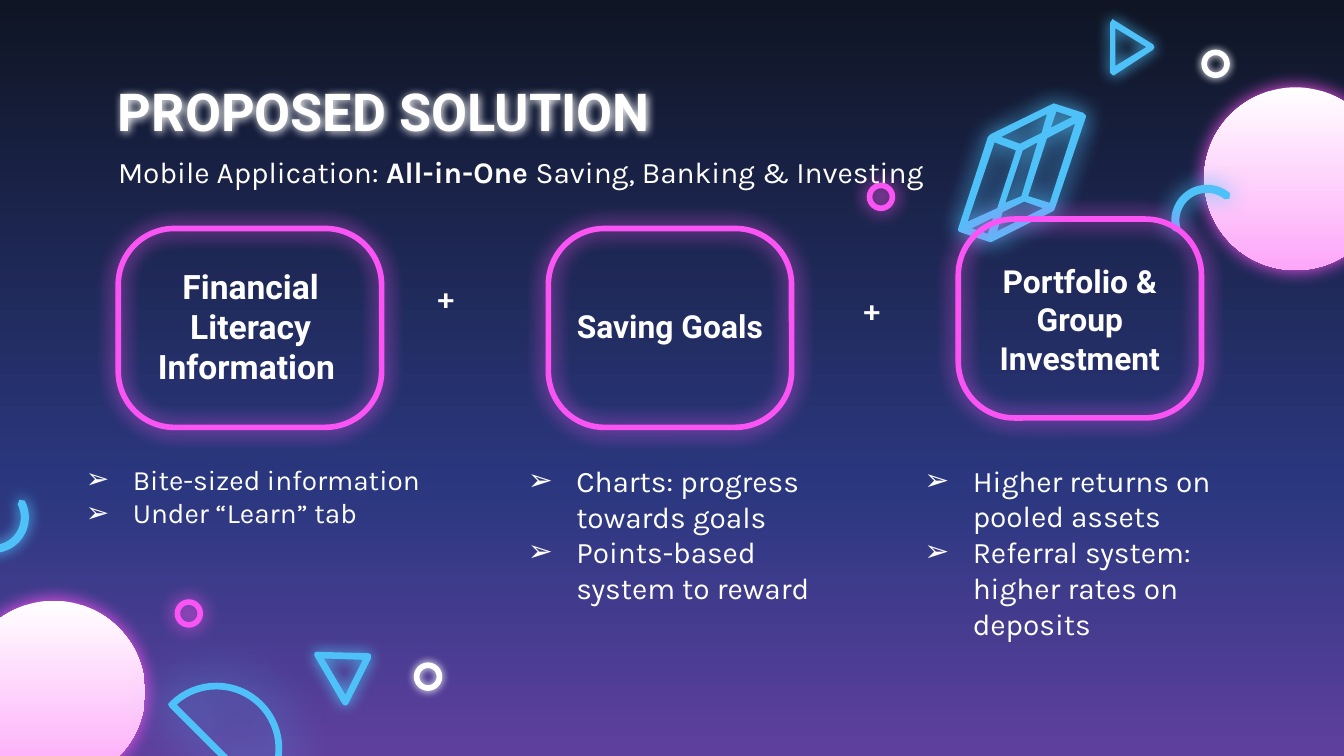
from dataclasses import dataclass
from math import cos, radians, sin
from typing import NamedTuple

from lxml import etree
from pptx import Presentation
from pptx.dml.color import RGBColor
from pptx.enum.shapes import MSO_SHAPE
from pptx.enum.text import MSO_ANCHOR, PP_ALIGN
from pptx.oxml.ns import qn
from pptx.util import Pt

OVAL, ROUND = MSO_SHAPE.OVAL, MSO_SHAPE.ROUNDED_RECTANGLE
TOP, MIDDLE = MSO_ANCHOR.TOP, MSO_ANCHOR.MIDDLE
LEFT, CENTER, JUSTIFY = PP_ALIGN.LEFT, PP_ALIGN.CENTER, PP_ALIGN.JUSTIFY
SCALE = 9144  # EMU in one px, 100 px to the inch
Points = list[tuple[float, float]]


@dataclass(frozen=True)
class Theme:
    white: str = "FFFFFF"
    pink: str = "FB54F4"
    blue: str = "4FC1F9"
    sky: tuple = ((0, "0F1524"), (65, "2B3880"), (100, "5F3F9E"))
    ball: tuple = ((0, "FFFFFF"), (100, "FDA7F9"))
    head: str = "Roboto"
    body: str = "Karla"
    title: int = 28
    large: int = 18
    label: int = 17
    text: int = 16
    small: int = 15
    stroke: int = 3


class Box(NamedTuple):
    x: int
    y: int
    w: int
    h: int


class Run(NamedTuple):
    text: str
    bold: bool = False


class Style(NamedTuple):
    font: str
    size: int
    align: PP_ALIGN = LEFT
    anchor: MSO_ANCHOR = TOP
    indent: int = 0


class Card(NamedTuple):
    frame: Box
    label: Box
    name: str
    size: int
    area: Box
    items: tuple[str, ...]
    style: Style


class Ring(NamedTuple):
    x: int
    y: int
    color: str
    blur: float


class Icon(NamedTuple):
    paths: list[Points]
    blur: float
    turn: float = 0


T = Theme()


def px(value: float) -> int:
    return round(value * SCALE)


def place(box: Box) -> list[int]:
    return [px(side) for side in box]


def shade(fill, root, stops: tuple) -> None:
    fill.gradient()
    fill.gradient_angle = 270
    bar = root.find(".//" + qn("a:gsLst"))
    for old in list(bar):
        bar.remove(old)
    for spot, color in stops:
        stop = etree.SubElement(bar, qn("a:gs"), pos=str(spot * 1000))
        etree.SubElement(stop, qn("a:srgbClr"), val=color)


def glow(shape, color: str, blur: float) -> None:
    shape.shadow.inherit = False
    effects = shape._element.spPr.find(qn("a:effectLst"))
    cast = etree.SubElement(effects, qn("a:outerShdw"), blurRad=str(Pt(blur)),
                            dist="0", dir="0", algn="bl", rotWithShape="0")
    etree.SubElement(cast, qn("a:srgbClr"), val=color)


def outline(slide, kind: MSO_SHAPE, box: Box, color: str, blur: float):
    shape = slide.shapes.add_shape(kind, *place(box))
    shape.fill.background()
    shape.line.color.rgb = RGBColor.from_string(color)
    shape.line.width = Pt(T.stroke)
    glow(shape, color, blur)
    return shape


def draw_ball(slide, box: Box) -> None:
    shape = slide.shapes.add_shape(OVAL, *place(box))
    shade(shape.fill, shape._element, T.ball)
    shape.line.fill.background()
    glow(shape, T.pink, 10.1)


def arc(x: float, y: float, r: float, start: int, end: int) -> Points:
    steps = 32
    turns = [radians(start + (end - start) * i / steps) for i in range(steps + 1)]
    return [(x + r * cos(a), y + r * sin(a)) for a in turns]


def band(x: float, y: float, start: int, end: int) -> Points:
    """Curved bar with rounded ends."""
    tips = arc(x, y, 23.5, start - 6, end + 6)
    return (arc(x, y, 26.5, start, end) + [tips[-1]]
            + arc(x, y, 20.5, end, start) + [tips[0]])


def draw_icon(slide, icon: Icon) -> None:
    c, s = cos(radians(icon.turn)), sin(radians(icon.turn))
    # Lay the points out level, then turn the shape and its middle
    paths = [[(px(x * c + y * s), px(y * c - x * s)) for x, y in path]
             for path in icon.paths]
    pen = slide.shapes.build_freeform(*paths[0][0], scale=1.0)
    for i, path in enumerate(paths):
        if i:
            pen.move_to(*path[0])
        pen.add_line_segments(path[1:], close=True)
    shape = pen.convert_to_shape()
    half_w, half_h = shape.width / 2, shape.height / 2
    x, y = shape.left + half_w, shape.top + half_h
    shape.left = round(x * c - y * s - half_w)
    shape.top = round(x * s + y * c - half_h)
    shape.rotation = icon.turn
    shape.fill.solid()
    shape.fill.fore_color.rgb = RGBColor.from_string(T.blue)
    shape.line.fill.background()
    glow(shape, T.blue, icon.blur)


def add_bullet(para, indent: int) -> None:
    props = para._p.get_or_add_pPr()
    props.set("marL", str(px(50)))
    props.set("indent", str(px(-indent)))
    color = etree.SubElement(props, qn("a:buClr"))
    etree.SubElement(color, qn("a:srgbClr"), val=T.white)
    etree.SubElement(props, qn("a:buFont"), typeface=T.body)
    etree.SubElement(props, qn("a:buChar"), char="➢")


def write(slide, box: Box, paras: list[list[Run]], style: Style):
    shape = slide.shapes.add_textbox(*place(box))
    frame = shape.text_frame
    sides = ("left", "top", "right", "bottom")
    layout = {"word_wrap": True, "vertical_anchor": style.anchor,
              **{f"margin_{side}": px(10) for side in sides}}
    for key, value in layout.items():
        setattr(frame, key, value)
    for i, runs in enumerate(paras):
        para = frame.add_paragraph() if i else frame.paragraphs[0]
        para.alignment = style.align
        if style.indent:
            add_bullet(para, style.indent)
        for text, bold in runs:
            run = para.add_run()
            run.text = text
            look = {"name": style.font, "size": Pt(style.size), "bold": bold}
            for key, value in look.items():
                setattr(run.font, key, value)
            run.font.color.rgb = RGBColor.from_string(T.white)
    return shape


def draw_card(slide, card: Card) -> None:
    outline(slide, ROUND, card.frame, T.pink, 11.2).adjustments[0] = 0.282
    write(slide, card.label, [[Run(card.name, True)]],
          Style(T.head, card.size, CENTER, MIDDLE))
    write(slide, card.area, [[Run(item)] for item in card.items], card.style)


PRISM = [
    [(784, 77), (737, 100), (735, 102), (713, 170), (713, 172), (715, 173), (736, 180),
     (738, 180), (784, 157), (785, 155), (808, 87), (808, 86), (806, 84)],
    [(798, 87), (782, 95), (786, 83)],
    [(779, 85), (775, 99), (759, 107), (745, 102)],
    [(800, 92), (781, 151), (765, 146), (779, 103)],
    [(772, 106), (760, 146), (748, 151), (761, 112)],
    [(756, 112), (742, 155), (720, 165), (740, 106)],
    [(776, 155), (742, 172), (746, 158), (762, 150)],
    [(739, 162), (735, 174), (723, 170)]]
PLAY = [
    [(828, 14), (826, 17), (826, 54), (828, 56), (829, 56), (858, 37), (859, 35),
     (858, 33), (829, 15)],
    [(830, 21), (853, 35), (830, 49)]]
WEDGE = [
    [(235, 485), (234, 486), (234, 488), (255, 524), (257, 525), (259, 524), (276, 490),
     (276, 487), (274, 486)],
    [(241, 490), (270, 491), (257, 517)]]
HALF = [arc(161, 557, 49, 225, 405) + [(194, 593), (192, 592), (126, 526), (125, 524)],
        arc(161, 557, 44, 228, 402)]
ICONS = [Icon(PRISM, 12.4, 18.1), Icon(PLAY, 7.9),
         Icon([band(898, 164, 164, 310)], 12.4, 103.2),
         Icon(HALF, 27), Icon([band(-5, 385, -28, 116)], 7.9),
         Icon(WEDGE, 7.9, 329.4)]
RINGS = [Ring(647, 138, T.pink, 10.1), Ring(896, 39, T.white, 4.5),
         Ring(310, 495, T.white, 4.5), Ring(132, 448, T.pink, 10.1)]
LIST = Style(T.body, T.text, indent=36)
CARDS = [
    Card(Box(88, 170, 196, 148), Box(96, 205, 181, 75), "Financial Literacy Information ",
         T.large, Box(39, 334, 294, 148), ("Bite-sized information", "Under “Learn” tab "),
         Style(T.body, T.small, JUSTIFY, indent=35)),
    Card(Box(408, 170, 181, 148), Box(408, 205, 181, 75), "Saving Goals", T.label,
         Box(369, 334, 260, 148),
         ("Charts: progress towards goals", "Points-based system to reward"), LIST),
    Card(Box(713, 163, 181, 148), Box(713, 200, 181, 75), "Portfolio & Group Investment",
         T.label, Box(664, 334, 294, 167),
         ("Higher returns on pooled assets", "Referral system: higher rates on deposits"), LIST)]


def main() -> None:
    deck = Presentation()
    deck.slide_width = px(1000)
    deck.slide_height = px(1000) * 9 // 16
    slide = deck.slides.add_slide(deck.slide_layouts[6])
    shade(slide.background.fill, slide._element, T.sky)
    # Decoration
    for x, y in ((896, 65), (-28, 447)):
        draw_ball(slide, Box(x, y, 136, 136))
    for icon in ICONS:
        draw_icon(slide, icon)
    for x, y, color, blur in RINGS:
        outline(slide, OVAL, Box(x, y, 17, 17), color, blur)
    # Heading
    title = write(slide, Box(78, 49, 844, 63), [[Run("PROPOSED SOLUTION", True)]],
                  Style(T.head, T.title))
    glow(title, T.white, 4.5)
    write(slide, Box(78, 104, 669, 46),
          [[Run("Mobile Application: "), Run("All-in-One ", True),
            Run("Saving, Banking & Investing")]], Style(T.body, T.text))
    # Cards and the plus signs between them
    for card in CARDS:
        draw_card(slide, card)
    for x, y in ((316, 197), (633, 206)):
        write(slide, Box(x, y, 36, 38), [[Run("+", True)]], Style(T.body, T.text))
    deck.save("out.pptx")


if __name__ == "__main__":
    main()
